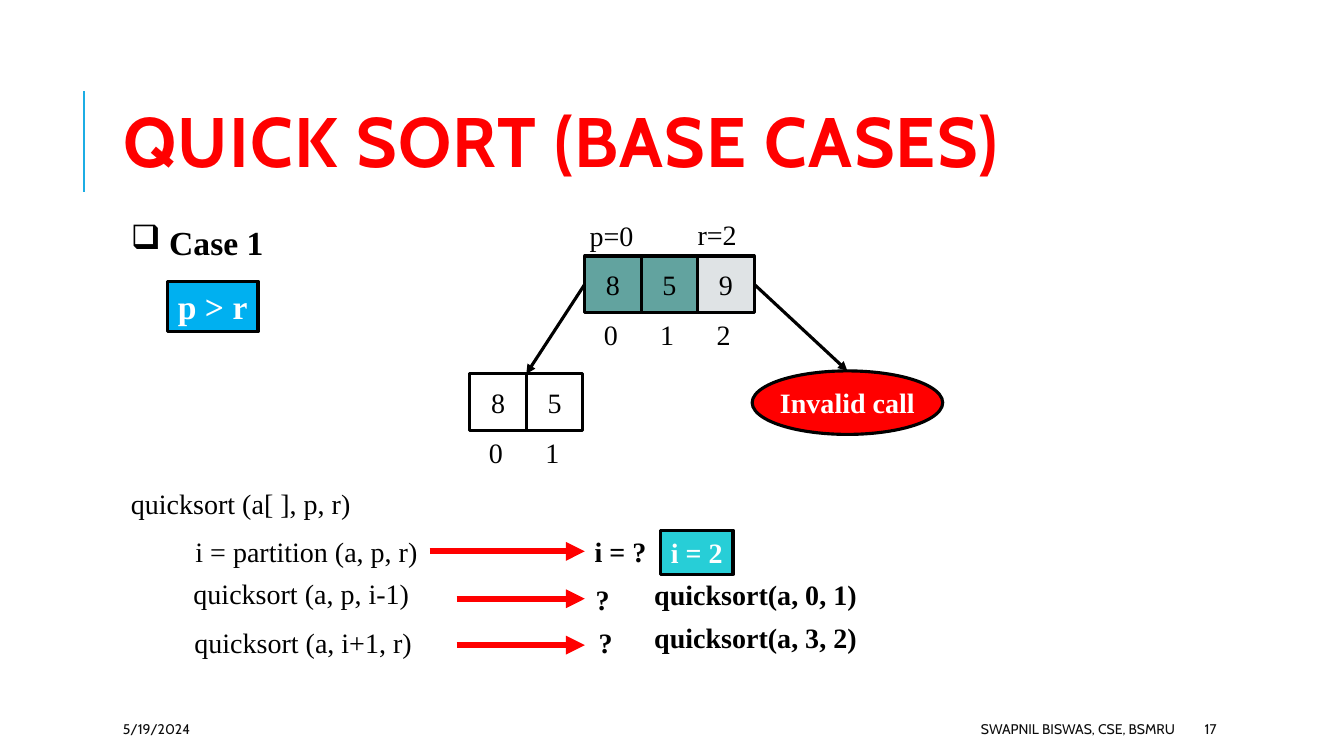
from dataclasses import dataclass
from typing import Optional

import pptx
import pptx.dml.color
import pptx.enum.shapes
import pptx.enum.text
import pptx.oxml.ns
import pptx.util
from lxml import etree

Inches = pptx.util.Inches
Pt = pptx.util.Pt
RGBColor = pptx.dml.color.RGBColor
Shapes = pptx.enum.shapes.MSO_SHAPE
Align = pptx.enum.text.PP_ALIGN
Anchor = pptx.enum.text.MSO_ANCHOR
AutoSize = pptx.enum.text.MSO_AUTO_SIZE
qn = pptx.oxml.ns.qn

BLACK = RGBColor(0x00, 0x00, 0x00)
WHITE = RGBColor(0xFF, 0xFF, 0xFF)
RED = RGBColor(0xFF, 0x00, 0x00)
ACCENT = RGBColor(0x1C, 0xAD, 0xE4)
FOOTER_GREY = RGBColor(0x0D, 0x0D, 0x0D)
LEFT_PART = RGBColor(0x62, 0xA3, 0x9F)
PIVOT = RGBColor(0xDF, 0xE3, 0xE5)
SKY = RGBColor(0x00, 0xB0, 0xF0)
TURQUOISE = RGBColor(0x27, 0xCE, 0xD7)

HEADING_FONT = "Cabin"
BODY_FONT = "Times New Roman"
CELL = 0.56
LINE_HEIGHT = 0.44
OUTLINE = 2.25


@dataclass
class Label:
    text: str
    left: float
    top: float
    width: float
    height: float = LINE_HEIGHT
    size: int = 20
    bold: bool = False


@dataclass
class Box:
    text: str
    left: float
    top: float
    width: float
    height: float
    fill: Optional[RGBColor]
    color: RGBColor = WHITE
    size: int = 20
    bold: bool = True
    kind: int = Shapes.RECTANGLE


@dataclass
class ArrayRow:
    left: float
    top: float
    values: list[int]
    fills: list[Optional[RGBColor]]


@dataclass
class FooterItem:
    text: str
    left: float
    width: float
    align: int = Align.LEFT


def set_font(paragraph, size: int, color: RGBColor, bold: bool = False,
             name: str = BODY_FONT) -> None:
    paragraph.font.name = name
    paragraph.font.size = Pt(size)
    paragraph.font.bold = bold
    paragraph.font.color.rgb = color


def add_label(slide, label: Label):
    box = slide.shapes.add_textbox(Inches(label.left), Inches(label.top),
                                   Inches(label.width), Inches(label.height))
    box.text_frame.word_wrap = False
    box.text_frame.auto_size = AutoSize.SHAPE_TO_FIT_TEXT
    paragraph = box.text_frame.paragraphs[0]
    paragraph.text = label.text
    set_font(paragraph, label.size, BLACK, label.bold)
    return box


def add_box(slide, box: Box):
    shape = slide.shapes.add_shape(box.kind, Inches(box.left), Inches(box.top),
                                   Inches(box.width), Inches(box.height))
    shape.shadow.inherit = False
    if box.fill is None:
        shape.fill.background()
    else:
        shape.fill.solid()
        shape.fill.fore_color.rgb = box.fill
    shape.line.color.rgb = BLACK
    shape.line.width = Pt(OUTLINE)
    shape.text_frame.word_wrap = False
    shape.text_frame.vertical_anchor = Anchor.MIDDLE
    paragraph = shape.text_frame.paragraphs[0]
    paragraph.text = box.text
    paragraph.alignment = Align.CENTER
    set_font(paragraph, box.size, box.color, box.bold)
    return shape


def add_array(slide, row: ArrayRow) -> list:
    cells = []
    for index, (value, fill) in enumerate(zip(row.values, row.fills)):
        left = row.left + index * CELL
        cells.append(add_box(slide, Box(str(value), left, row.top, CELL, CELL,
                                        fill, BLACK, bold=False)))
        add_label(slide, Label(str(index), left + 0.09, row.top + CELL, 0.34))
    return cells


def add_line(slide, start: tuple[float, float], end: tuple[float, float],
             color: RGBColor, width: float, arrow: bool = True):
    line = slide.shapes.add_connector(pptx.enum.shapes.MSO_CONNECTOR.STRAIGHT,
                                      *map(Inches, start + end))
    line.line.color.rgb = color
    line.line.width = Pt(width)
    if arrow:
        etree.SubElement(line.line._get_or_add_ln(), qn("a:tailEnd"), type="triangle")
    etree.SubElement(line._element.spPr, qn("a:effectLst"))
    return line


def add_title(slide, text: str) -> None:
    title = slide.shapes.title
    title.left, title.top, title.width, title.height = map(
        Inches, (1.12, 0.64, 10.63, 1.64))
    frame = title.text_frame
    frame.word_wrap = True
    frame.auto_size = AutoSize.NONE
    frame.vertical_anchor = Anchor.MIDDLE
    paragraph = frame.paragraphs[0]
    paragraph.text = text
    paragraph.alignment = Align.LEFT
    paragraph.line_spacing = 0.8
    set_font(paragraph, 50, RED, True, HEADING_FONT)
    paragraph.runs[0].font._element.set("spc", "100")


def add_footer(slide, item: FooterItem) -> None:
    box = slide.shapes.add_textbox(Inches(item.left), Inches(7.08),
                                   Inches(item.width), Inches(0.3))
    box.text_frame.word_wrap = True
    box.text_frame.vertical_anchor = Anchor.MIDDLE
    paragraph = box.text_frame.paragraphs[0]
    paragraph.text = item.text
    paragraph.alignment = item.align
    set_font(paragraph, 10, FOOTER_GREY, name=HEADING_FONT)


def main() -> None:
    deck = pptx.Presentation()
    deck.slide_width, deck.slide_height = Inches(13.33), Inches(7.5)
    slide = deck.slides.add_slide(deck.slide_layouts[5])

    # Title and footer
    add_line(slide, (0.83, 1.9), (0.83, 0.9), ACCENT, 1.5, arrow=False)
    add_title(slide, "QUICK SORT (BASE CASES)")
    for item in (FooterItem("5/19/2024", 1.12, 2.36),
                 FooterItem("SWAPNIL BISWAS, CSE, BSMRU", 5.3, 6.45, Align.RIGHT),
                 FooterItem("17", 11.85, 1.06)):
        add_footer(slide, item)

    # Case heading and its condition
    case = add_label(slide, Label("Case 1", 1.2, 2.15, 1.53, 0.5, 24, True))
    bullet = case.text_frame.paragraphs[0]._p.get_or_add_pPr()
    bullet.set("marL", str(Inches(0.38)))
    bullet.set("indent", str(-Inches(0.38)))
    etree.SubElement(bullet, qn("a:buChar"), char="❑")
    # Schema order puts the bullet ahead of the default run properties
    bullet.insert(0, bullet[-1])
    add_box(slide, Box("p > r", 1.66, 2.79, 0.9, 0.5, SKY, size=24))

    # Recursion tree
    root = add_array(slide, ArrayRow(5.8, 2.54, [8, 5, 9],
                                     [LEFT_PART, LEFT_PART, PIVOT]))
    add_array(slide, ArrayRow(4.66, 3.71, [8, 5], [None, None]))
    add_label(slide, Label("p=0", 5.75, 2.12, 0.64))
    add_label(slide, Label("r=2", 6.82, 2.11, 0.59))
    invalid = add_box(slide, Box("Invalid call", 7.46, 3.68, 1.89, 0.63, RED,
                                 kind=Shapes.OVAL))
    left_branch = add_line(slide, (5.8, 2.82), (5.22, 3.71), BLACK, OUTLINE)
    left_branch.begin_connect(root[0], 1)
    right_branch = add_line(slide, (7.47, 2.82), (8.41, 3.68), BLACK, OUTLINE)
    right_branch.begin_connect(root[-1], 3)
    right_branch.end_connect(invalid, 0)

    # Pseudocode and the values of each step
    add_label(slide, Label("quicksort (a[ ], p, r)", 1.2, 4.78, 2.39))
    partition = add_label(slide, Label("i = partition (a, p, r)", 1.84, 5.25, 2.42))
    pivot_index = add_label(slide, Label("i = ?", 5.8, 5.25, 0.72, bold=True))
    for step in (Label("quicksort (a, p, i-1)", 1.82, 5.67, 2.35),
                 Label("quicksort (a, i+1, r)", 1.83, 6.16, 2.37),
                 Label("?", 5.81, 5.73, 0.34, bold=True),
                 Label("?", 5.84, 6.16, 0.34, bold=True),
                 Label("quicksort(a, 0, 1)", 6.39, 5.68, 2.22, bold=True),
                 Label("quicksort(a, 3, 2)", 6.39, 6.11, 2.22, bold=True)):
        add_label(slide, step)
    add_box(slide, Box("i = 2", 6.55, 5.26, 0.72, LINE_HEIGHT, TURQUOISE))
    partition_arrow = add_line(slide, (4.26, 5.47), (5.8, 5.47), RED, 4.5)
    partition_arrow.begin_connect(partition, 3)
    partition_arrow.end_connect(pivot_index, 1)
    for y in (5.94, 6.4):
        add_line(slide, (4.53, y), (5.8, y), RED, 4.5)

    deck.save("out.pptx")


if __name__ == "__main__":
    main()
